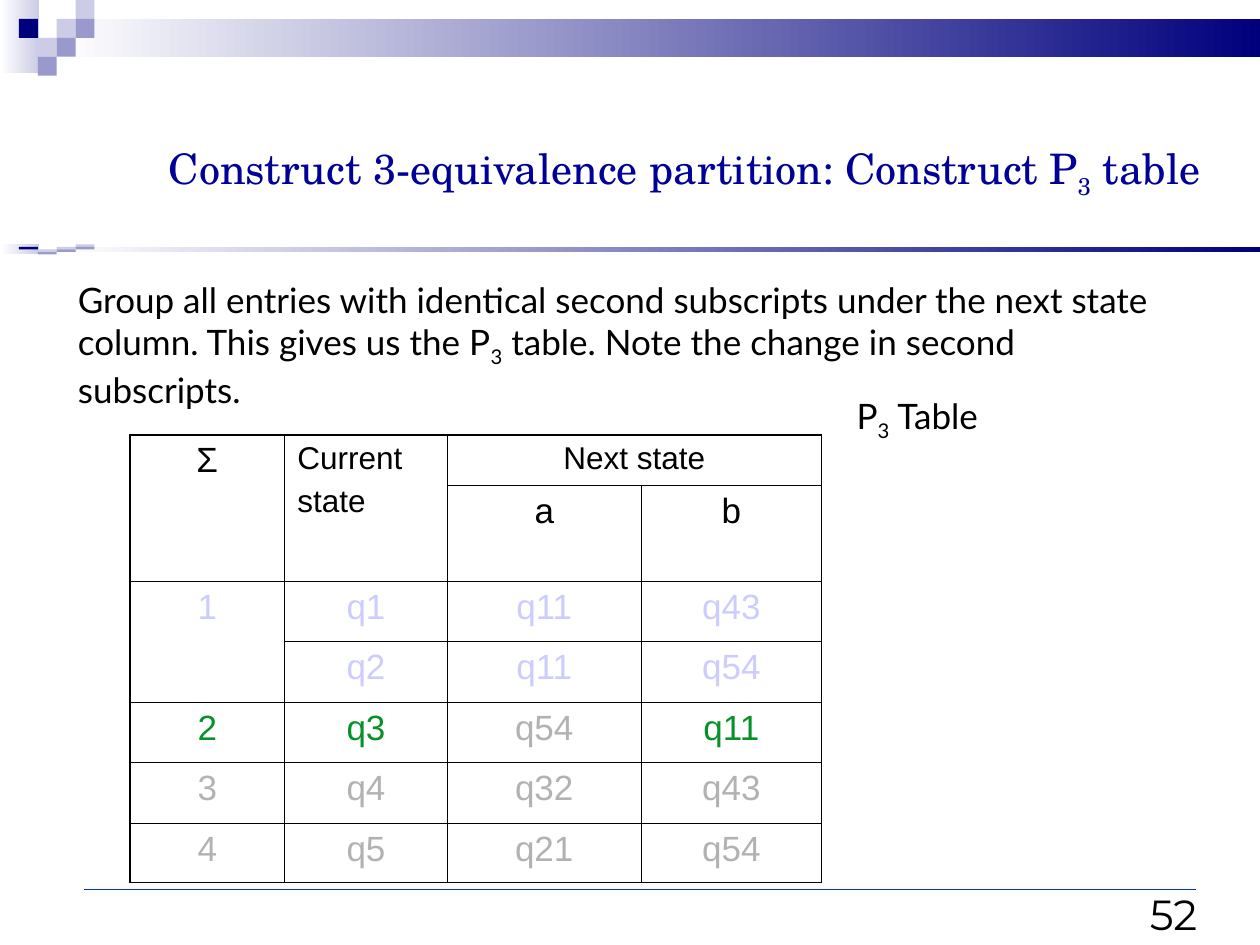
from lxml import etree
from pptx import Presentation
from pptx import util as u
from pptx.dml.color import RGBColor
from pptx.enum import shapes, text
from pptx.oxml.ns import qn

WIDE, HIGH = 10, 7.5
NAVY, MID, PALE, WHITE, BLACK = "00007D", "9999CC", "CCCCE6", "FFFFFF", "000000"
LILAC, GREEN, GRAY = "CCCCFF", "089128", "B2B2B2"
LEFT, MIDDLE, RIGHT = text.PP_ALIGN.LEFT, text.PP_ALIGN.CENTER, text.PP_ALIGN.RIGHT

# Each text is a list of pieces; every second piece is a subscript.
TITLE = ["Construct 3-equivalence partition: Construct P", "3", " table"]
BODY = ["Group all entries with identical second subscripts under the next state "
        "column. This gives us the P", "3",
        " table. Note the change in second subscripts."]
LABEL = ["P", "3", " Table"]
NUMBER = ["52"]

# Mosaic tiles: column, row, colour
TILES = [(2, 1, PALE), (3, 0, PALE), (3, 1, MID), (1, 2, PALE),
         (0, 1, NAVY), (2, 2, MID), (1, 3, MID)]
TILE = 0.15
# Mosaic strips: top, row height
STRIPS = [(0, 0.15), (1.94, 0.02)]

COLS = [1.23, 1.29, 1.54, 1.43]
ROWS = [0.4, 0.76, 0.48, 0.48, 0.48, 0.48, 0.47]
CELLS = [["Σ", "Current\nstate", "Next state", ""],
         ["", "", "a", "b"],
         ["1", "q1", "q11", "q43"],
         ["", "q2", "q11", "q54"],
         ["2", "q3", "q54", "q11"],
         ["3", "q4", "q32", "q43"],
         ["4", "q5", "q21", "q54"]]
MERGES = [(0, 0, 1, 0), (0, 1, 1, 1), (0, 2, 0, 3), (2, 0, 3, 0)]
INKS = [BLACK, BLACK, LILAC, LILAC, GREEN, GRAY, GRAY]
ODD_INKS = {(4, 2): GRAY}
SMALL = {(0, 1), (0, 2)}
THICK, THIN = 1.08, 0.45


def rgb(code):
    return RGBColor.from_string(code)


def style(font, face, size, ink):
    font.name, font.size, font.color.rgb = face, u.Pt(size), rgb(ink)


def write(frame, pieces, face, size, ink, align=LEFT):
    frame.word_wrap = True
    para = frame.paragraphs[0]
    para.alignment = align
    for i, piece in enumerate(pieces):
        run = para.add_run()
        run.text = piece
        style(run.font, face, size, ink)
        if i % 2:
            run.font._element.set("baseline", "-25000")


def add_text(slide, box, *args, **opts):
    frame = slide.shapes.add_textbox(*map(u.Inches, box)).text_frame
    write(frame, *args, **opts)
    return frame


def add_block(slide, box, ink, fade=False):
    block = slide.shapes.add_shape(shapes.MSO_SHAPE.RECTANGLE, *map(u.Inches, box))
    block.shadow.inherit = False
    block.line.fill.background()
    if fade:
        block.fill.gradient()
        block.fill.gradient_angle = 0
        for stop, code in zip(block.fill.gradient_stops, (WHITE, ink)):
            stop.color.rgb = rgb(code)
    else:
        block.fill.solid()
        block.fill.fore_color.rgb = rgb(ink)


def add_strip(slide, top, step):
    start = 3 * TILE
    add_block(slide, (0, top, 0.31, 3.85 * step), PALE, fade=True)
    add_block(slide, (start, top + step, WIDE - start, 2 * step), NAVY, fade=True)
    for col, row, ink in TILES:
        add_block(slide, ((col + 1) * TILE, top + row * step, TILE, step), ink)


def add_rule(slide, x1, x2, y):
    ends = map(u.Inches, (x1, y, x2, y))
    rule = slide.shapes.add_connector(shapes.MSO_CONNECTOR.STRAIGHT, *ends)
    rule.line.color.rgb = rgb("0033CC")
    rule.line.width = u.Pt(0.75)
    etree.SubElement(rule._element.spPr, qn("a:effectLst"))


def set_edges(cell, row, col):
    """Draw the cell's borders, thicker on the outside of the table."""
    last_row = row + cell.span_height if cell.is_merge_origin else row + 1
    last_col = col + cell.span_width if cell.is_merge_origin else col + 1
    outer = {"L": col == 0, "R": last_col == len(COLS),
             "T": row == 0, "B": last_row == len(ROWS)}
    props = cell._tc.get_or_add_tcPr()
    for i, (side, out) in enumerate(outer.items()):
        edge = etree.Element(qn(f"a:ln{side}"), w=str(u.Pt(THICK if out else THIN)))
        fill = etree.SubElement(edge, qn("a:solidFill"))
        etree.SubElement(fill, qn("a:srgbClr"), val=BLACK)
        props.insert(i, edge)


def fill_cell(cell, row, col):
    cell.fill.background()
    set_edges(cell, row, col)
    if cell.is_spanned:
        return
    size = 18 if (row, col) in SMALL else 20
    cell.text_frame.text = CELLS[row][col]
    for i, para in enumerate(cell.text_frame.paragraphs):
        para.alignment = LEFT if (row, col) == (0, 1) else MIDDLE
        para.space_before = u.Pt(4.5 if i else 0)
        for run in para.runs:
            style(run.font, "Arial", size, ODD_INKS.get((row, col), INKS[row]))


def add_grid(slide, left, top):
    box = map(u.Inches, (left, top, sum(COLS), sum(ROWS)))
    table = slide.shapes.add_table(len(ROWS), len(COLS), *box).table
    table.first_row = table.horz_banding = False
    for col, width in zip(table.columns, COLS):
        col.width = u.Inches(width)
    for row, height in zip(table.rows, ROWS):
        row.height = u.Inches(height)
    for r1, c1, r2, c2 in MERGES:
        table.cell(r1, c1).merge(table.cell(r2, c2))
    for row in range(len(ROWS)):
        for col in range(len(COLS)):
            fill_cell(table.cell(row, col), row, col)


def main():
    deck = Presentation()
    deck.slide_width, deck.slide_height = u.Inches(WIDE), u.Inches(HIGH)
    slide = deck.slides.add_slide(deck.slide_layouts[5])
    for top, step in STRIPS:
        add_strip(slide, top, step)
    add_rule(slide, 0.67, 9.49, 7.06)

    title = slide.shapes.title
    title.left, title.top, title.width, title.height = map(
        u.Inches, (1.24, 0.92, 8.52, 0.88))
    title.text_frame.vertical_anchor = text.MSO_ANCHOR.MIDDLE
    write(title.text_frame, TITLE, "TeX Gyre Schola", 24, "000099")

    add_text(slide, (0.52, 2.16, 8.83, 1.15), BODY, "Lato", 20, BLACK)
    add_grid(slide, 1.03, 3.45)
    add_text(slide, (6.7, 3.08, 1.81, 0.48), LABEL, "Lato", 20, BLACK)
    page = add_text(slide, (8.86, 6.93, 0.74, 0.57), NUMBER, "Montserrat", 24,
                    BLACK, align=RIGHT)
    page.vertical_anchor = text.MSO_ANCHOR.BOTTOM
    deck.save("out.pptx")


if __name__ == "__main__":
    main()
